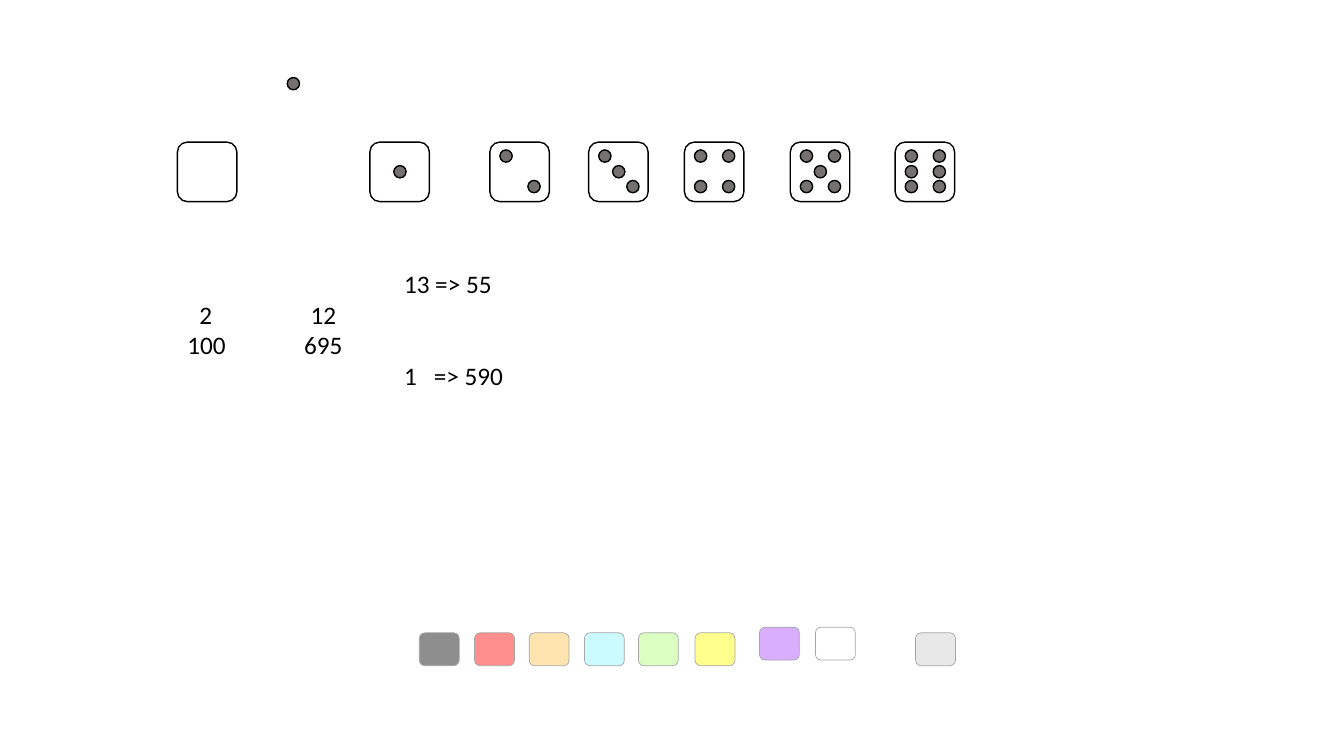
from lxml.etree import SubElement
from pptx import Presentation
from pptx.dml.color import RGBColor
from pptx.enum.shapes import MSO_SHAPE
from pptx.oxml.ns import qn
from pptx.util import Pt

deck = Presentation()
deck.slide_width, deck.slide_height = Pt(960), Pt(540)
page = deck.slides.add_slide(deck.slide_layouts[6])


def add_filled(kind, left, top, width, height, fill, line="000000", weight=1):
    """Add a preset shape, lengths in points, colours as hex strings."""
    shape = page.shapes.add_shape(kind, Pt(left), Pt(top), Pt(width), Pt(height))
    shape.shadow.inherit = False
    shape.fill.solid()
    shape.fill.fore_color.rgb = RGBColor.from_string(fill)
    shape.line.color.rgb = RGBColor.from_string(line)
    shape.line.width = Pt(weight)


def add_notes_box(left, top, width, height, lines, tab_stops):
    """Add a text box whose paragraphs share tab stops of (points, alignment)."""
    box = page.shapes.add_textbox(Pt(left), Pt(top), Pt(width), Pt(height))
    frame = box.text_frame
    frame.word_wrap = True
    frame.text = "\n".join(lines)
    for para in frame.paragraphs:
        tab_list = SubElement(para._p.get_or_add_pPr(), qn("a:tabLst"))
        for position, alignment in tab_stops:
            SubElement(tab_list, qn("a:tab"), pos=str(Pt(position)), algn=alignment)
        for span in para.runs:
            span.font.name = "Calibri"
            span.font.size = Pt(18)
            span.font.color.rgb = RGBColor.from_string("000000")
    return frame


# Dice: left edge and the pips as (column, row) on a 3 by 3 grid
DIE_TOP, DIE_SIZE, PIP_SIZE = 101.5, 42.5, 8.8
PIP_COLUMNS = (7.2, 17.1, 27.2)
PIP_ROWS = (5.6, 16.8, 27.4)
diagonal = [(0, 0), (2, 2)]
corners = diagonal + [(2, 0), (0, 2)]
center = [(1, 1)]
dice = [
    (126.7, []),
    (264.2, center),
    (349.9, diagonal),
    (420.5, diagonal + center),
    (488.9, corners),
    (564.5, corners + center),
    (639.4, corners + [(0, 1), (2, 1)]),
]
pip_places = [(205.2, 55.4)]
for die_left, pips in dice:
    add_filled(MSO_SHAPE.ROUNDED_RECTANGLE, die_left, DIE_TOP, DIE_SIZE, DIE_SIZE, "FFFFFF")
    pip_places += [(die_left + PIP_COLUMNS[column], DIE_TOP + PIP_ROWS[row])
                   for column, row in pips]
for pip_left, pip_top in pip_places:
    add_filled(MSO_SHAPE.OVAL, pip_left, pip_top, PIP_SIZE, PIP_SIZE, "767171")

# Colour tiles: left, top, fill
tiles = [
    (299.5, 452, "8E8E8E"),
    (339, 452, "FF8E8E"),
    (378, 452, "FFE4B0"),
    (417.5, 452, "CCFBFF"),
    (456, 452, "DAFFC0"),
    (496.5, 452, "FFFF8E"),
    (542.5, 448, "D9AEFF"),
    (582.5, 448, "FFFFFF"),
    (654, 452, "E8E8E8"),
]
for tile_left, tile_top, tile_fill in tiles:
    add_filled(MSO_SHAPE.ROUNDED_RECTANGLE, tile_left, tile_top, 28.5, 23.5,
               tile_fill, "A6A6A6", 0.5)

# Score notes
add_notes_box(126.7, 210.2, 131, 51, ["\t2\t12", "\t100\t695"],
              [(13.2, "ctr"), (97.2, "ctr")])
scores = add_notes_box(281.5, 188, 93, 94.5, ["13 => 55", "1\t=> 590"], [(21.3, "l")])
scores.paragraphs[1].space_before = Pt(44)

deck.save("out.pptx")
